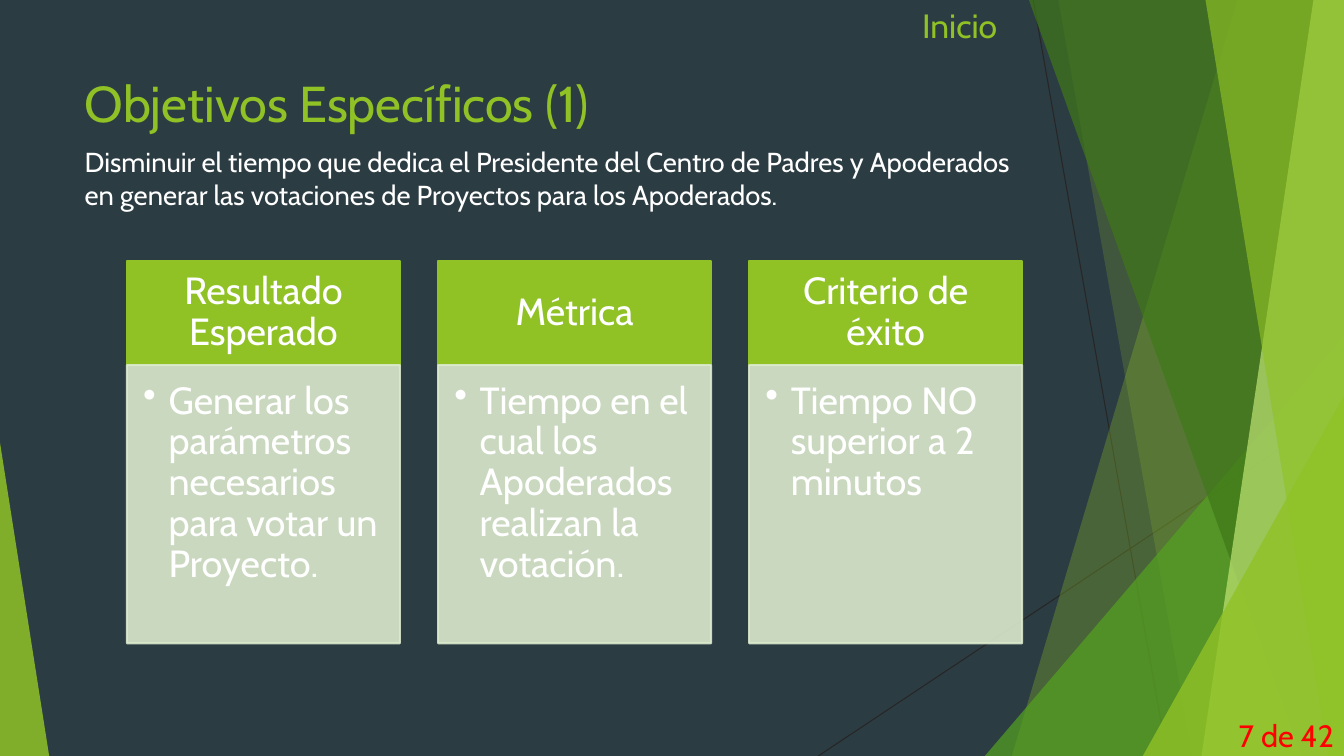
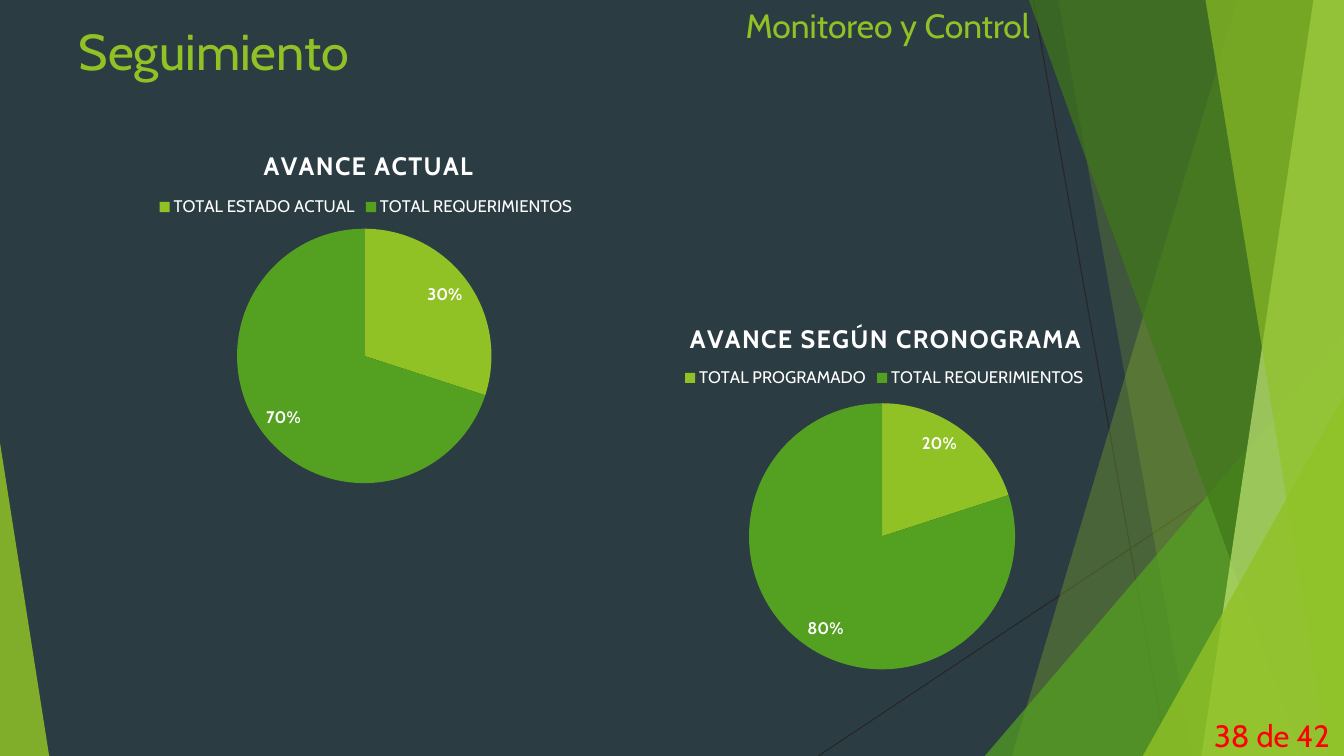
import lxml.etree
import pptx
import pptx.chart.data
import pptx.dml.color
import pptx.enum.chart
import pptx.enum.shapes
import pptx.enum.text
import pptx.oxml.ns
import pptx.util

Cm = pptx.util.Cm
Pt = pptx.util.Pt
RGBColor = pptx.dml.color.RGBColor
qn = pptx.oxml.ns.qn
PRESET = pptx.enum.shapes.MSO_SHAPE
ALIGN = pptx.enum.text.PP_ALIGN
ANCHOR = pptx.enum.text.MSO_ANCHOR

SLATE = RGBColor(0x2C, 0x3C, 0x43)
LIME = RGBColor(0x90, 0xC2, 0x26)
GREEN = RGBColor(0x54, 0xA0, 0x21)
FOREST = RGBColor(0x3F, 0x78, 0x19)
PALE_LIME = RGBColor(0xC0, 0xE4, 0x74)
MIST = RGBColor(0xDB, 0xE9, 0xCD)
CHARCOAL = RGBColor(0x26, 0x26, 0x26)
WHITE = RGBColor(0xFF, 0xFF, 0xFF)
RED = RGBColor(0xFF, 0x00, 0x00)
FONT = "Cabin"
WIDTH, HEIGHT = 33.87, 19.05


def paint(shape, color, opacity=100, outlined=False):
    """Fill the shape, with an outline of the same colour if asked."""
    shape.shadow.inherit = False
    shape.fill.solid()
    shape.fill.fore_color.rgb = color
    if outlined:
        shape.line.color.rgb = color
        shape.line.width = Pt(1.5)
    else:
        shape.line.fill.background()
    if opacity < 100:
        for tint in shape.element.spPr.xpath(".//a:srgbClr"):
            lxml.etree.SubElement(tint, qn("a:alpha"), val=str(opacity * 1000))


def write(frame, text, size, color, align=ALIGN.LEFT, anchor=ANCHOR.TOP):
    """Put one styled run in the frame and return its paragraph."""
    frame.word_wrap = True
    frame.auto_size = pptx.enum.text.MSO_AUTO_SIZE.NONE
    frame.vertical_anchor = anchor
    paragraph = frame.paragraphs[0]
    paragraph.alignment = align
    run = paragraph.add_run()
    run.text = text
    run.font.name = FONT
    run.font.size = Pt(size)
    run.font.color.rgb = color
    return paragraph


deck = pptx.Presentation()
deck.slide_width, deck.slide_height = Cm(WIDTH), Cm(HEIGHT)
master = deck.slide_master
master.background.fill.solid()
master.background.fill.fore_color.rgb = SLATE

# Layout, title, title box, section, section left and width, page, page right edge
pages = [
    (1, "Objetivos Específicos (1)", (1.88, 1.7, 23.88, 3.66),
     "Inicio", 22.99, 2.97, "7 de 42", 33.87),
    (5, "Seguimiento", (1.73, 0.38, 23.88, 2.31),
     "Monitoreo y Control", 18.54, 8.2, "38 de 42", 33.76),
]
for layout, title, title_box, section, section_left, section_width, page, page_right in pages:
    slide = deck.slides.add_slide(deck.slide_layouts[layout])
    heading = slide.shapes.title
    heading.left, heading.top, heading.width, heading.height = map(Cm, title_box)
    write(heading.text_frame, title, 36, LIME)
    section_label = slide.shapes.add_textbox(
        Cm(section_left), 0, Cm(section_width), Cm(1.27))
    write(section_label.text_frame, section, 24, LIME)
    page_label = slide.shapes.add_textbox(Cm(page_right - 4.34), Cm(18.02), Cm(4.34), Cm(1.02))
    write(page_label.text_frame, page, 22, RED, ALIGN.RIGHT, ANCHOR.MIDDLE)

objectives, tracking = deck.slides

# Facets: drawn once, then moved to the master behind its placeholders
facets = []
for x1, y1, x2, y2 in [(26.04, 0, 29.41, HEIGHT), (WIDTH, 10.24, 20.62, HEIGHT)]:
    ray = objectives.shapes.add_connector(
        pptx.enum.shapes.MSO_CONNECTOR.STRAIGHT, Cm(x1), Cm(y1), Cm(x2), Cm(y2))
    ray.line.color.rgb = CHARCOAL
    ray.line.width = Pt(0.75)
    lxml.etree.SubElement(ray.element.spPr, qn("a:effectLst"))
    facets.append(ray)

# Band: top and bottom x of its left edge. Corner: left, top, width, apex
for kind, place, color, opacity in [
    ("band", (31.19, 25.5), LIME, 30),
    ("band", (26.67, 30.05), LIME, 20),
    ("corner", (24.82, 8.46, 9.05, 1), GREEN, 72),
    ("band", (25.93, 32.79), FOREST, 70),
    ("band", (33.1, 30.28), PALE_LIME, 70),
    ("band", (30.38, 33.48), LIME, 65),
    ("corner", (28.8, 9.98, 5.07, 1), LIME, 80),
    ("corner", (0, 11.15, 1.24, 0), LIME, 85),
]:
    if kind == "band":
        top_x, bottom_x = place
        outline = objectives.shapes.build_freeform(Cm(top_x), 0)
        outline.add_line_segments(
            [(Cm(WIDTH), 0), (Cm(WIDTH), Cm(HEIGHT)), (Cm(bottom_x), Cm(HEIGHT))])
        facet = outline.convert_to_shape()
    else:
        left, top, width, apex = place
        facet = objectives.shapes.add_shape(
            PRESET.ISOSCELES_TRIANGLE, Cm(left), Cm(top), Cm(width), Cm(HEIGHT - top))
        facet.adjustments[0] = apex
    paint(facet, color, opacity)
    facets.append(facet)

for order, facet in enumerate(facets):
    facet.element.xpath(".//p:cNvPr")[0].set("id", str(100 + order))
    master.shapes.element.insert(2 + order, facet.element)

# Objectives
goal = objectives.placeholders[1]
goal.left, goal.top, goal.width, goal.height = Cm(1.88), Cm(3.53), Cm(23.88), Cm(2.44)
goal_line = write(
    goal.text_frame,
    "Disminuir el tiempo que dedica el Presidente del Centro de Padres y Apoderados "
    "en generar las votaciones de Proyectos para los Apoderados.", 19.6, WHITE)
goal_line.space_before = Pt(10)
goal_format = goal_line._p.get_or_add_pPr()
goal_format.set("marL", "0")
goal_format.set("indent", "0")
lxml.etree.SubElement(goal_format, qn("a:buNone"))

CARD_LEFT, CARD_STEP, CARD_WIDTH = 3.2, 7.84, 6.88
CARD_TOP, HEAD_HEIGHT, DETAIL_HEIGHT = 6.58, 2.62, 7.01
for column, (header, detail) in enumerate([
    ("Resultado Esperado", "Generar los parámetros necesarios para votar un Proyecto."),
    ("Métrica", "Tiempo en el cual los Apoderados realizan la votación."),
    ("Criterio de éxito", "Tiempo NO superior a 2 minutos"),
]):
    left = CARD_LEFT + column * CARD_STEP
    for text, top, height, color, opacity, align, anchor, insets in [
        (header, CARD_TOP, HEAD_HEIGHT, LIME, 100,
         ALIGN.CENTER, ANCHOR.MIDDLE, (0.53, 0.3, 0.53, 0.3)),
        (detail, CARD_TOP + HEAD_HEIGHT, DETAIL_HEIGHT, MIST, 90,
         ALIGN.LEFT, ANCHOR.TOP, (0.41, 0.41, 0.53, 0.61)),
    ]:
        card = objectives.shapes.add_shape(
            PRESET.RECTANGLE, Cm(left), Cm(top), Cm(CARD_WIDTH), Cm(height))
        paint(card, color, opacity, outlined=True)
        frame = card.text_frame
        (frame.margin_left, frame.margin_top,
         frame.margin_right, frame.margin_bottom) = map(Cm, insets)
        line = write(frame, text, 27, WHITE, align, anchor)
        line.line_spacing = 0.9
        if text == detail:
            bullet_format = line._p.get_or_add_pPr()
            bullet_format.set("marL", str(Cm(0.64)))
            bullet_format.set("indent", str(-Cm(0.64)))
            lxml.etree.SubElement(bullet_format, qn("a:buChar"), char="•")

# Tracking
for title, done, values, box, title_at, legend_at in [
    ("AVANCE ACTUAL", "TOTAL ESTADO ACTUAL", (30, 70),
     (2.21, 3.05, 13.94, 9.55), (0.31, 0.06), (0.12, 0.19)),
    ("AVANCE SEGÚN CRONOGRAMA", "TOTAL PROGRAMADO", (20, 80),
     (14.94, 7.39, 14.58, 9.88), (0.16, 0.06), (0.15, 0.18)),
]:
    progress = pptx.chart.data.CategoryChartData()
    progress.categories = [done, "TOTAL REQUERIMIENTOS"]
    progress.add_series("Series 1", values)
    chart = tracking.shapes.add_chart(
        pptx.enum.chart.XL_CHART_TYPE.PIE, *map(Cm, box), progress).chart
    chart.font.name, chart.font.size = FONT, Pt(10)
    chart.font.color.rgb = WHITE

    caption = chart.chart_title.text_frame.paragraphs[0].add_run()
    caption.text = title
    caption.font.name, caption.font.size, caption.font.bold = FONT, Pt(18), True
    caption.font.color.rgb = WHITE
    caption.font._element.set("spc", "100")

    chart.has_legend = True
    chart.legend.position = pptx.enum.chart.XL_LEGEND_POSITION.TOP
    chart.legend.include_in_layout = False

    pie = chart.plots[0]
    pie.vary_by_categories = True
    for index, color in enumerate((LIME, GREEN)):
        slice_fill = pie.series[0].points[index].format.fill
        slice_fill.solid()
        slice_fill.fore_color.rgb = color
    pie.has_data_labels = True
    labels = pie.data_labels
    labels.show_percentage, labels.show_value = True, False
    labels.number_format, labels.number_format_is_linked = "0%", False
    labels.position = pptx.enum.chart.XL_LABEL_POSITION.INSIDE_END
    labels.font.bold = True
    for font in (chart.legend.font, labels.font):
        font.name, font.size = FONT, Pt(12)
        font.color.rgb = WHITE

    for element, index, spot in [
        (chart.chart_title._element, 1, title_at),
        (chart.legend._element, 1, legend_at),
        (chart._chartSpace.chart.plotArea, 0, (0.27, 0.28, 0.46, 0.68)),
    ]:
        for automatic in element.findall(qn("c:layout")):
            element.remove(automatic)
        layout = lxml.etree.Element(qn("c:layout"))
        manual = lxml.etree.SubElement(layout, qn("c:manualLayout"))
        if len(spot) == 4:
            lxml.etree.SubElement(manual, qn("c:layoutTarget"), val="inner")
        for mode in ("c:xMode", "c:yMode"):
            lxml.etree.SubElement(manual, qn(mode), val="edge")
        for side, share in zip("xywh", spot):
            lxml.etree.SubElement(manual, qn("c:" + side), val=str(share))
        element.insert(index, layout)

deck.save("out.pptx")
